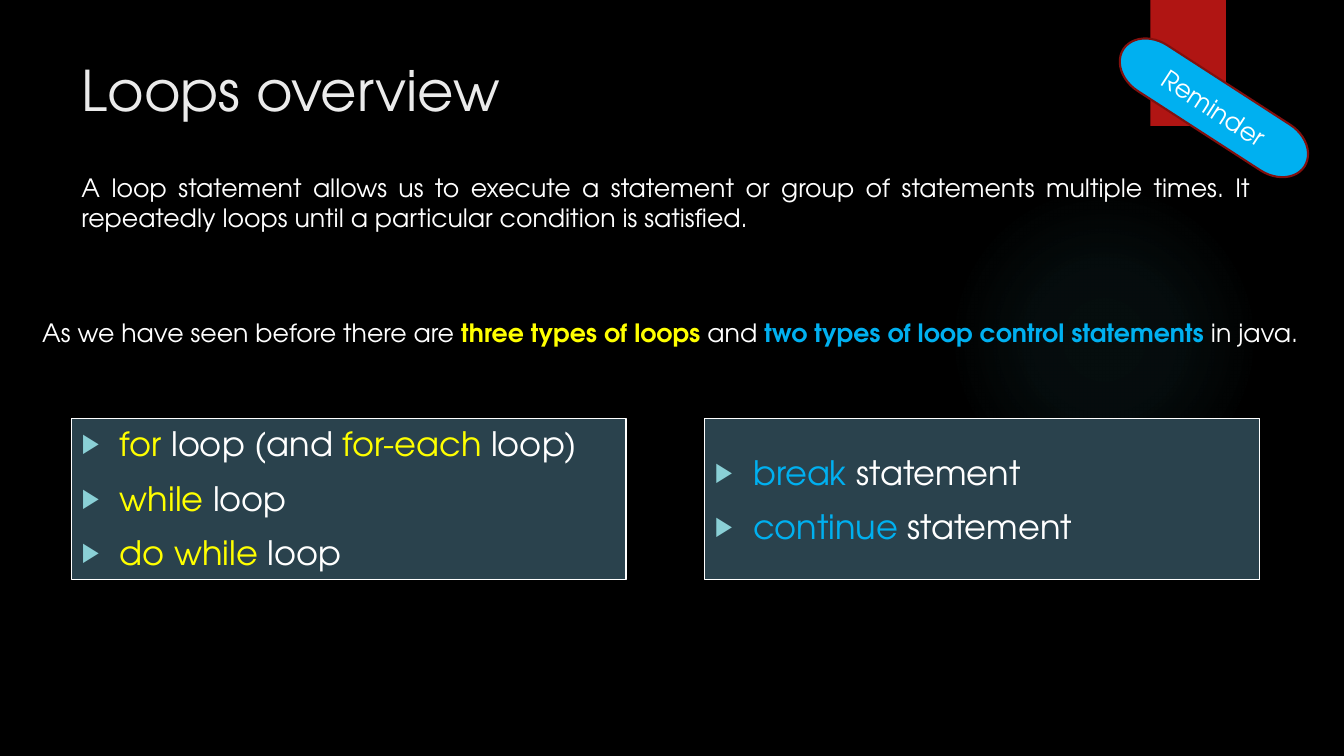
"""Build the "Loops overview" slide."""
from lxml import etree
from pptx import Presentation
from pptx.dml.color import RGBColor
from pptx.enum.shapes import MSO_SHAPE
from pptx.enum.text import MSO_ANCHOR, MSO_AUTO_SIZE, PP_ALIGN
from pptx.oxml import parse_xml
from pptx.oxml.ns import qn
from pptx.util import Inches, Pt

FONT = "TeX Gyre Adventor"
BLACK = RGBColor(0x00, 0x00, 0x00)
WHITE = RGBColor(0xFF, 0xFF, 0xFF)
PALE = RGBColor(0xEB, 0xEB, 0xEB)
YELLOW = RGBColor(0xFF, 0xFF, 0x00)
BLUE = RGBColor(0x00, 0xB0, 0xF0)
SLATE = RGBColor(0x2A, 0x42, 0x4D)
RED = RGBColor(0xB0, 0x15, 0x13)
DARK_RED = RGBColor(0x82, 0x10, 0x0E)
TEAL = RGBColor(0x8A, 0xD0, 0xD6)
GLOW = RGBColor(0x50, 0xB9, 0xC1)

TITLE = "Loops overview"
DEFINITION = (
    "A loop statement allows us to execute a statement or group of statements "
    "multiple times. It repeatedly loops until a particular condition is satisfied."
)
SUMMARY = [
    ("As we have seen before there are ", WHITE, False),
    ("three types of loops ", YELLOW, True),
    ("and ", WHITE, False),
    ("two types of loop control statements ", BLUE, True),
    ("in java.", WHITE, False),
]
LOOPS = [
    [("for ", YELLOW), ("loop (and ", WHITE), ("for-each ", YELLOW), ("loop)", WHITE)],
    [("while ", YELLOW), ("loop", WHITE)],
    [("do while ", YELLOW), ("loop", WHITE)],
]
CONTROLS = [
    [("break ", BLUE), ("statement", WHITE)],
    [("continue ", BLUE), ("statement", WHITE)],
]
LISTS = [(LOOPS, MSO_ANCHOR.TOP), (CONTROLS, MSO_ANCHOR.MIDDLE)]
GLOW_STOPS = [(0, 7), (36, 6), (69, 0)]

LEFT, LIST_TOP = 0.71, 4.15
LIST_WIDTH, LIST_HEIGHT, LIST_STEP = 5.5, 1.6, 6.28


def place(shape, left, top, width, height):
    """Move and size a shape, in inches."""
    shape.left, shape.top = Inches(left), Inches(top)
    shape.width, shape.height = Inches(width), Inches(height)


def add_span(para, text, size=18, color=WHITE, bold=False):
    """Add one formatted run to a paragraph."""
    span = para.add_run()
    span.text = text
    span.font.name, span.font.size = FONT, Pt(size)
    span.font.color.rgb, span.font.bold = color, bold


def write(shape, paragraphs, size=18, align=PP_ALIGN.LEFT, anchor=MSO_ANCHOR.TOP, bullets=False):
    """Fill a shape with paragraphs made of (text, color, bold) runs."""
    frame = shape.text_frame
    frame.word_wrap = True
    frame.auto_size = MSO_AUTO_SIZE.NONE
    frame.vertical_anchor = anchor
    for index, runs in enumerate(paragraphs):
        para = frame.add_paragraph() if index else frame.paragraphs[0]
        para.alignment = align
        para.space_before = Pt(10 if bullets else 0)
        if bullets:
            add_bullet(para)
        for text, color, *bold in runs:
            add_span(para, text, size=size, color=color, bold=any(bold))


def add_bullet(para):
    """Give a paragraph a teal arrow bullet with a hanging indent."""
    properties = para._p.get_or_add_pPr()
    properties.set("marL", str(Inches(0.38)))
    properties.set("indent", str(Inches(-0.38)))
    color = etree.SubElement(properties, qn("a:buClr"))
    etree.SubElement(color, qn("a:srgbClr"), val=str(TEAL))
    etree.SubElement(properties, qn("a:buSzPct"), val="80000")
    etree.SubElement(properties, qn("a:buChar"), char="▶")


def add_figure(slide, kind, box, fill, line=None):
    """Add a flat preset shape with an optional outline."""
    shape = slide.shapes.add_shape(kind, *map(Inches, box))
    shape.shadow.inherit = False
    shape.fill.solid()
    shape.fill.fore_color.rgb = fill
    if line is None:
        shape.line.fill.background()
    else:
        shape.line.color.rgb, shape.line.width = line, Pt(1.5)
    return shape


def set_glow(shape):
    """Replace a solid fill with a faint radial gradient."""
    stops = "".join(
        f'<a:gs pos="{position * 1000}"><a:srgbClr val="{GLOW}">'
        f'<a:alpha val="{alpha * 1000}"/></a:srgbClr></a:gs>'
        for position, alpha in GLOW_STOPS
    )
    gradient = parse_xml(
        '<a:gradFill xmlns:a="http://schemas.openxmlformats.org/drawingml/2006/main">'
        f'<a:gsLst>{stops}</a:gsLst><a:path path="circle">'
        '<a:fillToRect l="50000" t="50000" r="50000" b="50000"/></a:path></a:gradFill>'
    )
    properties = shape._element.spPr
    properties.replace(properties.find(qn("a:solidFill")), gradient)


def main():
    """Build and save the deck."""
    deck = Presentation()
    deck.slide_width, deck.slide_height = Inches(13.33), Inches(7.5)
    page = deck.slides.add_slide(deck.slide_layouts[3])
    page.background.fill.solid()
    page.background.fill.fore_color.rgb = BLACK

    glow = add_figure(page, MSO_SHAPE.OVAL, (9.41, 1.83, 3.08, 3.08), GLOW)
    set_glow(glow)
    ribbon = add_figure(page, MSO_SHAPE.RECTANGLE, (11.41, 0, 0.75, 1.25), RED)
    for depth, shape in enumerate((glow, ribbon), start=2):
        page.shapes._spTree.insert(depth, shape._element)

    title = page.shapes.title
    place(title, LEFT, 0.5, 10.76, 0.88)
    write(title, [[(TITLE, PALE)]], size=40)

    definition = page.shapes.add_textbox(Inches(LEFT), Inches(1.66), Inches(11.79), Inches(0.71))
    write(definition, [[(DEFINITION, WHITE)]], align=PP_ALIGN.JUSTIFY)

    badge = add_figure(
        page, MSO_SHAPE.FLOWCHART_TERMINATOR, (10.97, 0.8, 2.14, 0.54), BLUE, line=DARK_RED
    )
    badge.rotation = 32.9
    write(badge, [[("Reminder", WHITE)]], align=PP_ALIGN.CENTER, anchor=MSO_ANCHOR.MIDDLE)

    for column, (items, anchor) in enumerate(LISTS):
        box = page.placeholders[column + 1]
        place(box, LEFT + column * LIST_STEP, LIST_TOP, LIST_WIDTH, LIST_HEIGHT)
        box.fill.solid()
        box.fill.fore_color.rgb = SLATE
        box.line.color.rgb, box.line.width = WHITE, Pt(1)
        write(box, items, size=24, anchor=anchor, bullets=True)

    summary = page.shapes.add_textbox(Inches(0.32), Inches(3.1), Inches(12.85), Inches(0.4))
    write(summary, [SUMMARY], align=PP_ALIGN.JUSTIFY)

    deck.save("out.pptx")


if __name__ == "__main__":
    main()
